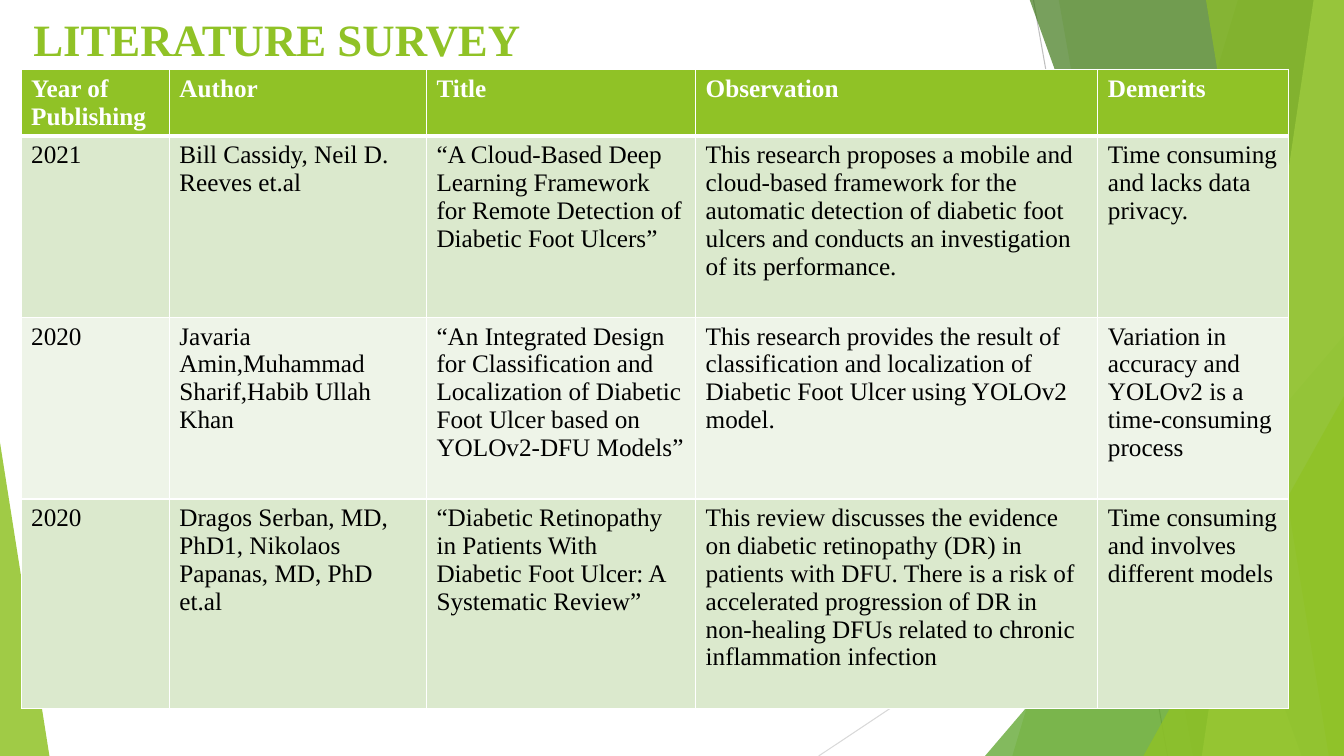
from dataclasses import dataclass

from lxml.etree import SubElement
from pptx import Presentation
from pptx.dml.color import RGBColor
from pptx.enum.shapes import MSO_CONNECTOR as Connector, MSO_SHAPE as Shape
from pptx.enum.text import MSO_ANCHOR as Anchor, PP_ALIGN as Align
from pptx.oxml.ns import qn
from pptx.util import Inches, Pt


@dataclass(frozen=True)
class Theme:
    font: str = "Times New Roman"
    title_size: int = 32
    body_size: int = 18
    green: str = "90C226"
    mid_green: str = "54A021"
    dark_green: str = "3F7819"
    lime: str = "C0E474"
    band: str = "DBE9CD"
    light_band: str = "EEF4E8"
    white: str = "FFFFFF"
    black: str = "000000"
    gray: str = "BFBFBF"
    light_gray: str = "D9D9D9"


THEME = Theme()
WIDTH, HEIGHT = 13.33, 7.5
COLUMNS = [1.47, 2.55, 2.67, 3.99, 1.89]
ROWS = [0.66, 1.8, 1.8, 2.08]
SURVEY = [
    ("Year of Publishing", "Author", "Title", "Observation", "Demerits"),
    (
        "2021",
        "Bill Cassidy, Neil D. Reeves et.al",
        "“A Cloud-Based Deep Learning Framework for Remote Detection of Diabetic Foot Ulcers”",
        "This research proposes a mobile and cloud-based framework for the automatic detection "
        "of diabetic foot ulcers and conducts an investigation of its performance.",
        "Time consuming and lacks data privacy.",
    ),
    (
        "2020",
        "Javaria Amin,Muhammad Sharif,Habib Ullah Khan",
        "“An Integrated Design for Classification and Localization of Diabetic Foot Ulcer "
        "based on YOLOv2-DFU Models”",
        "This research provides the result of classification and localization of Diabetic Foot "
        "Ulcer using YOLOv2 model.",
        "Variation in accuracy and YOLOv2 is a time-consuming process",
    ),
    (
        "2020",
        "Dragos Serban, MD, PhD1, Nikolaos Papanas, MD, PhD et.al",
        "“Diabetic Retinopathy in Patients With Diabetic Foot Ulcer: A Systematic Review”",
        "This review discusses the evidence on diabetic retinopathy (DR) in patients with DFU. "
        "There is a risk of accelerated progression of DR in non-healing DFUs related to "
        "chronic inflammation infection",
        "Time consuming and involves different models",
    ),
]


def rgb(color):
    return RGBColor.from_string(color)


def paint(shape, color, opacity):
    shape.shadow.inherit = False
    shape.line.fill.background()
    shape.fill.solid()
    shape.fill.fore_color.rgb = rgb(color)
    color_element = shape.element.spPr.find(qn("a:solidFill"))[0]
    SubElement(color_element, qn("a:alpha"), val=str(opacity * 1000))


def add_hairline(slide, start, end, color):
    line = slide.shapes.add_connector(
        Connector.STRAIGHT, *(Inches(value) for value in (*start, *end))
    )
    line.line.color.rgb = rgb(color)
    line.line.width = Pt(0.75)
    SubElement(line.element.spPr, qn("a:effectLst"))


def add_panel(slide, right, bottom, top_left, bottom_left, color, opacity):
    top = -0.01
    builder = slide.shapes.build_freeform(Inches(top_left), Inches(top), scale=1.0)
    corners = [(right, top), (right, bottom), (bottom_left, bottom)]
    builder.add_line_segments([(Inches(x), Inches(y)) for x, y in corners], close=True)
    paint(builder.convert_to_shape(), color, opacity)


def add_corner(slide, left, width, height, bottom, apex, color, opacity):
    triangle = slide.shapes.add_shape(
        Shape.ISOSCELES_TRIANGLE,
        Inches(left), Inches(bottom - height), Inches(width), Inches(height),
    )
    triangle.adjustments[0] = apex
    paint(triangle, color, opacity)


def add_facets(slide, width, height):
    add_hairline(slide, (10.25, 0), (11.58, height), THEME.gray)
    add_hairline(slide, (width, 4.03), (8.12, height), THEME.light_gray)
    add_panel(slide, width, height, 12.28, 10.04, THEME.green, 30)
    add_panel(slide, width, height, 10.5, 11.83, THEME.green, 20)
    add_corner(slide, width - 3.56, 3.56, 4.17, height, 1, THEME.mid_green, 72)
    add_panel(slide, width, height, 10.21, 12.91, THEME.dark_green, 70)
    add_panel(slide, width, height, 13.03, 11.92, THEME.lime, 70)
    add_panel(slide, width, height, 11.96, 13.18, THEME.green, 65)
    add_corner(slide, width - 1.99, 1.99, 3.57, height, 1, THEME.green, 80)
    add_corner(slide, 0, 0.49, 3.11, height, 0, THEME.green, 85)


def style_text(paragraph, size, color, bold):
    paragraph.alignment = Align.LEFT
    font = paragraph.font
    font.name = THEME.font
    font.size = Pt(size)
    font.bold = bold
    font.color.rgb = rgb(color)


def place_title(slide, left, top, width, height):
    title = slide.shapes.title
    title.left, title.top = Inches(left), Inches(top)
    title.width, title.height = Inches(width), Inches(height)
    title.text_frame.text = "LITERATURE SURVEY"
    title.text_frame.vertical_anchor = Anchor.BOTTOM
    style_text(title.text_frame.paragraphs[0], THEME.title_size, THEME.green, True)
    title.element.getparent().append(title.element)


def set_borders(cell, top, bottom):
    properties = cell._tc.get_or_add_tcPr()
    for side, points in (("L", 1), ("R", 1), ("T", top), ("B", bottom)):
        line = SubElement(properties, qn(f"a:ln{side}"), w=str(Pt(points)))
        fill = SubElement(line, qn("a:solidFill"))
        SubElement(fill, qn("a:srgbClr"), val=THEME.white)


def style_cell(cell, row):
    header = row == 0
    set_borders(cell, 3 if row == 1 else 1, 3 if header else 1)
    cell.fill.solid()
    band = THEME.band if row % 2 else THEME.light_band
    cell.fill.fore_color.rgb = rgb(THEME.green if header else band)
    color = THEME.white if header else THEME.black
    style_text(cell.text_frame.paragraphs[0], THEME.body_size, color, header)


def add_survey(slide, left, top):
    table = slide.shapes.add_table(
        len(ROWS), len(COLUMNS),
        Inches(left), Inches(top), Inches(sum(COLUMNS)), Inches(sum(ROWS)),
    ).table
    for column, width in zip(table.columns, COLUMNS):
        column.width = Inches(width)
    for row, height in zip(table.rows, ROWS):
        row.height = Inches(height)
    for row, texts in enumerate(SURVEY):
        for column, text in enumerate(texts):
            cell = table.cell(row, column)
            cell.text = text
            style_cell(cell, row)


def main():
    presentation = Presentation()
    presentation.slide_width = Inches(WIDTH)
    presentation.slide_height = Inches(HEIGHT)
    slide = presentation.slides.add_slide(presentation.slide_layouts[5])
    add_facets(slide, WIDTH, HEIGHT)
    place_title(slide, 0.23, 0.08, 9.92, 0.62)
    add_survey(slide, 0.21, 0.69)
    presentation.save("out.pptx")


if __name__ == "__main__":
    main()
